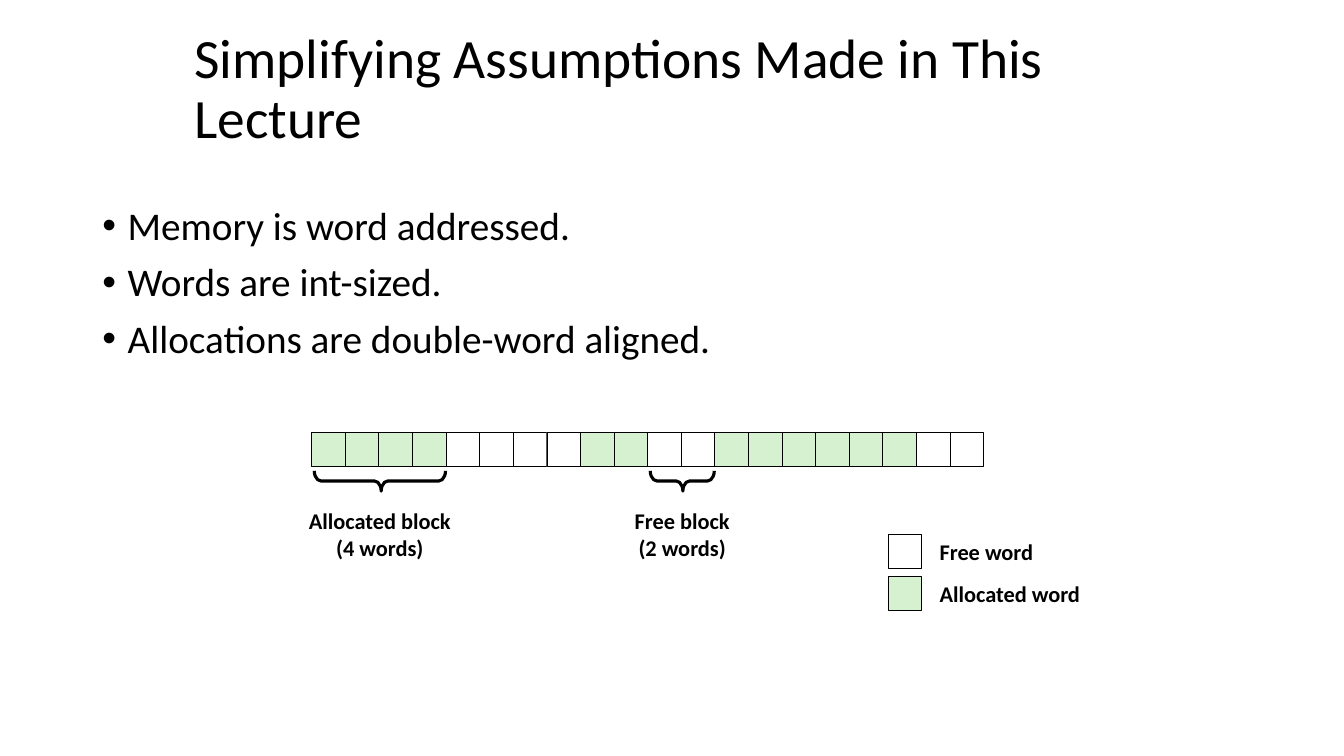
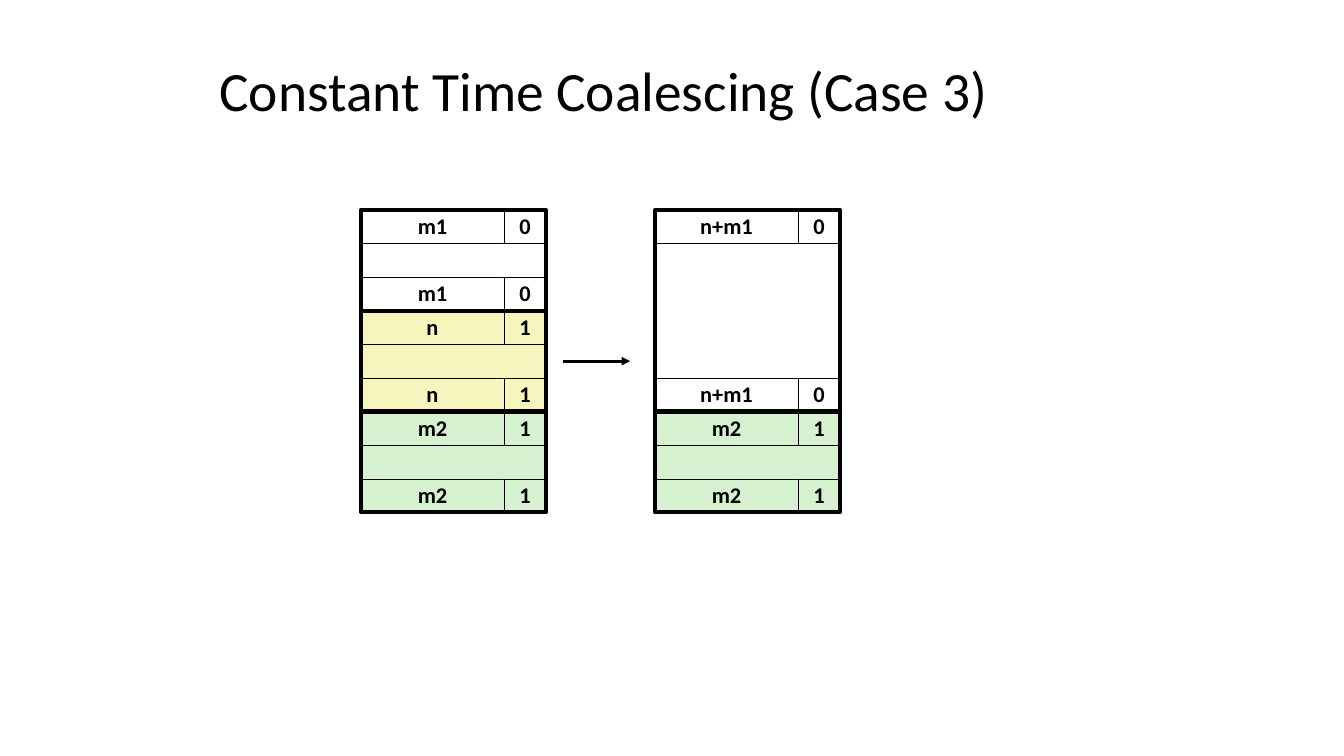
from dataclasses import dataclass

from lxml.etree import SubElement
from pptx import Presentation
from pptx.dml.color import RGBColor as Color
from pptx.enum.shapes import MSO_CONNECTOR as Connector, MSO_SHAPE as Shape
from pptx.enum.text import MSO_ANCHOR as Anchor, MSO_AUTO_SIZE as AutoSize, PP_ALIGN as Align
from pptx.oxml.ns import qn
from pptx.util import Cm, Pt


@dataclass(frozen=True)
class Theme:
    font: str = "Calibri"
    ink: Color = Color(0x00, 0x00, 0x00)
    free: Color = Color(0xFF, 0xFF, 0xFF)
    allocated: Color = Color(0xD5, 0xF1, 0xCF)
    freeing: Color = Color(0xF6, 0xF5, 0xBD)
    title_size: float = 39.6
    body_size: float = 28
    label_size: float = 16
    thin: float = 0.25
    arrow: float = 2
    brace: float = 2.25
    thick: float = 3


THEME = Theme()
WORD = 2.54 / 3  # side of one memory word, in cm


# Text
def style_paragraph(para, size, spacing, bold=False, align=None):
    para.line_spacing = spacing
    para.alignment = align
    para.font.name = THEME.font
    para.font.size = Pt(size)
    para.font.bold = bold
    para.font.color.rgb = THEME.ink


def add_text_box(slide, left, top, width, height):
    box = slide.shapes.add_textbox(Cm(left), Cm(top), Cm(width), Cm(height))
    box.text_frame.word_wrap = True
    return box.text_frame


def add_title(slide, text, left, top, width, height):
    frame = add_text_box(slide, left, top, width, height)
    frame.vertical_anchor = Anchor.MIDDLE
    frame.text = text
    style_paragraph(frame.paragraphs[0], THEME.title_size, 0.9)


def add_bullets(slide, lines, left, top, width, height):
    frame = add_text_box(slide, left, top, width, height)
    frame.text = "\n".join(lines)
    for index, para in enumerate(frame.paragraphs):
        properties = para._p.get_or_add_pPr()
        properties.set("marL", str(Cm(0.64)))
        properties.set("indent", str(-Cm(0.64)))
        SubElement(properties, qn("a:buFont")).set("typeface", "Arial")
        SubElement(properties, qn("a:buChar")).set("char", "•")
        para.space_before = Pt(10 if index else 0)
        style_paragraph(para, THEME.body_size, 0.9)


def add_label(slide, lines, left, top, width, height, align=Align.LEFT):
    frame = add_text_box(slide, left, top, width, height)
    frame.word_wrap = False
    frame.auto_size = AutoSize.SHAPE_TO_FIT_TEXT
    frame.text = "\n".join(lines)
    for para in frame.paragraphs:
        style_paragraph(para, THEME.label_size, 0.98, True, align)


# Shapes
def add_outline(slide, kind, left, top, width, height, weight, fill=None):
    shape = slide.shapes.add_shape(kind, Cm(left), Cm(top), Cm(width), Cm(height))
    shape.shadow.inherit = False
    shape.line.color.rgb = THEME.ink
    shape.line.width = Pt(weight)
    if fill is None:
        shape.fill.background()
    else:
        shape.fill.solid()
        shape.fill.fore_color.rgb = fill
    return shape


def add_cell(slide, left, top, width, height, fill, text=""):
    cell = add_outline(slide, Shape.RECTANGLE, left, top, width, height, THEME.thin, fill)
    if text:
        frame = cell.text_frame
        frame.word_wrap = False
        frame.vertical_anchor = Anchor.MIDDLE
        frame.text = text
        style_paragraph(frame.paragraphs[0], THEME.label_size, 0.98, True, Align.CENTER)


def add_brace(slide, center, middle, span):
    depth = 0.51
    brace = add_outline(slide, Shape.LEFT_BRACE, center - depth / 2, middle - span / 2,
                        depth, span, THEME.brace)
    brace.rotation = 270
    brace.adjustments[0] = 0.33
    brace.adjustments[1] = 0.51


def add_arrow(slide, start, end, height):
    arrow = slide.shapes.add_connector(Connector.STRAIGHT, Cm(start), Cm(height), Cm(end), Cm(height))
    arrow.line.color.rgb = THEME.ink
    arrow.line.width = Pt(THEME.arrow)
    properties = arrow.element.spPr
    SubElement(properties.find(qn("a:ln")), qn("a:tailEnd")).set("type", "triangle")
    SubElement(properties, qn("a:effectLst"))


def add_block(slide, left, top, rows, fill, size, flag):
    """Header and footer rows with size and flag, payload between, heavy frame."""
    size_width, flag_width = 3.6, 1.06
    width = size_width + flag_width
    add_cell(slide, left, top + WORD, width, (rows - 2) * WORD, fill)
    for row in (0, rows - 1):
        row_top = top + row * WORD
        add_cell(slide, left, row_top, size_width, WORD, fill, size)
        add_cell(slide, left + size_width, row_top, flag_width, WORD, fill, flag)
    add_outline(slide, Shape.RECTANGLE, left, top, width, rows * WORD, THEME.thick)


# Slides
def build_assumptions(slide):
    add_title(slide, "Simplifying Assumptions Made in This Lecture", 4.65, 1.22, 24.97, 2.11)
    add_bullets(slide, ["Memory is word addressed.", "Words are int-sized.",
                        "Allocations are double-word aligned."], 2.33, 5.08, 29.21, 12.09)

    # Memory row: runs of allocated and free words
    row_left, row_top = 7.85, 10.9
    runs = [(4, THEME.allocated), (4, THEME.free), (2, THEME.allocated),
            (2, THEME.free), (6, THEME.allocated), (2, THEME.free)]
    words = [fill for count, fill in runs for _ in range(count)]
    for index, fill in enumerate(words):
        add_cell(slide, row_left + index * WORD, row_top, WORD, WORD, fill)

    # Braces and their captions
    for first, count, name, width in ((0, 4, "Allocated block", 4.11), (10, 2, "Free block", 3.05)):
        center = row_left + (first + count / 2) * WORD + 0.03
        add_brace(slide, center, 12.12, count * WORD - 0.08)
        add_label(slide, [name, f"({count} words)"], center - width / 2, 12.7, width, 1.6, Align.CENTER)

    # Legend
    legend = (("Free word", THEME.free, 2.9), ("Allocated word", THEME.allocated, 4.09))
    for index, (name, fill, width) in enumerate(legend):
        top = 13.46 + index * 1.06
        add_cell(slide, 22.38, top, WORD, WORD, fill)
        add_label(slide, [name], 23.43, top, width, 0.94)


def build_coalescing(slide):
    add_title(slide, "Constant Time Coalescing (Case 3)", 5.28, 1.57, 23.29, 1.6)
    before = [(3, THEME.free, "m1", "0"), (3, THEME.freeing, "n", "1"), (3, THEME.allocated, "m2", "1")]
    after = [(6, THEME.free, "n+m1", "0"), (3, THEME.allocated, "m2", "1")]
    for left, blocks in ((9.1, before), (16.51, after)):
        top = 5.29
        for rows, fill, size, flag in blocks:
            add_block(slide, left, top, rows, fill, size, flag)
            top += rows * WORD
    add_arrow(slide, 14.18, 15.88, 9.1)


def main():
    deck = Presentation()
    deck.slide_width, deck.slide_height = Cm(33.87), Cm(19.05)
    for build in (build_assumptions, build_coalescing):
        build(deck.slides.add_slide(deck.slide_layouts[6]))
    deck.save("out.pptx")


if __name__ == "__main__":
    main()
